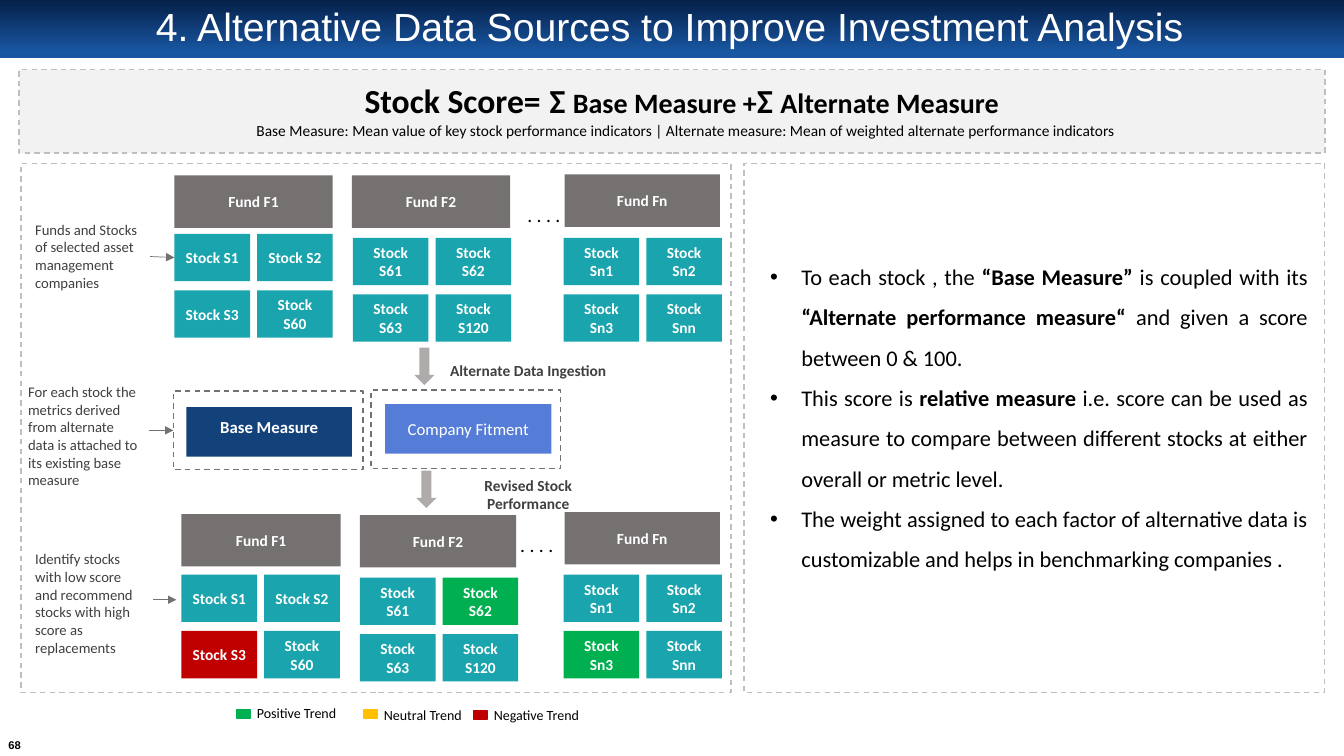
import pptx
import pptx.util
import pptx.dml.color
import pptx.enum.dml
import pptx.enum.shapes
import pptx.enum.text
import pptx.oxml.ns
import lxml.etree

Inches = pptx.util.Inches
Pt = pptx.util.Pt
KIND = pptx.enum.shapes.MSO_SHAPE
ALIGN = pptx.enum.text.PP_ALIGN
ANCHOR = pptx.enum.text.MSO_ANCHOR

HUES = {
    "navy": "052049", "royal": "1957A3", "white": "FFFFFF", "black": "000000",
    "pale": "F2F2F2", "edge": "BFBFBF", "gray": "767171", "teal": "1AA4AD",
    "green": "00B050", "red": "C00000", "amber": "FFC000", "text": "404040",
    "arrow": "AFABAB", "base": "13417A", "fit": "557DD7",
}
TITLE = "4. Alternative Data Sources to Improve Investment Analysis"
SCORE = [("Stock Score=", 24), (" ", 28), ("Σ ", 24), ("Base Measure +", 20),
         ("Σ ", 24), ("Alternate Measure", 20), (" ", 28)]
LEGEND = ("Base Measure: Mean value of key stock performance indicators | "
          "Alternate measure: Mean of weighted alternate performance indicators")
POINTS = [
    [("To each stock , the ", False), ("“Base Measure”", True),
     (" is coupled with its ", False),
     ("“Alternate performance measure“", True),
     (" and given a score between 0 & 100.", False)],
    [("This score is ", False), ("relative measure ", True),
     ("i.e. score can be used as measure to compare between different stocks "
      "at either overall or metric level.", False)],
    [("The weight assigned to each factor of alternative data is customizable "
      "and helps in benchmarking companies .", False)],
]
FUNDS = {"F1": ["S1", "S2", "S3", "S60"],
         "F2": ["S61", "S62", "S63", "S120"],
         "Fn": ["Sn1", "Sn2", "Sn3", "Snn"]}
BEFORE = {"F1": ((1.73, 1.74, 1.57), (1.73, 2.32)),
          "F2": ((3.49, 1.74, 1.57), (3.5, 2.36)),
          "Fn": ((5.6, 1.73, 1.54), (5.59, 2.36))}
AFTER = {"F1": ((1.8, 5.1, 1.58), (1.8, 5.7)),
         "F2": ((3.57, 5.11, 1.55), (3.57, 5.73)),
         "Fn": ((5.6, 5.08, 1.54), (5.59, 5.7))}
TRENDS = {"S3": "red", "S62": "green", "Sn3": "green"}
NOTES = [
    ("Funds and Stocks of selected asset management companies",
     (0.25, 2.14, 1.24, 0.81)),
    ("For each stock the metrics derived from alternate data is attached to "
     "its existing base measure", (0.18, 3.75, 1.31, 1.16)),
    ("Identify stocks with low score and recommend stocks with high score as "
     "replacements", (0.25, 5.41, 1.25, 1.16)),
]
STEPS = [("Alternate Data Ingestion", (4.3, 3.53, 1.88, 0.29)),
         ("Revised Stock Performance", (4.3, 4.67, 1.88, 0.47))]
KEYS = [("Positive Trend", "green", 2.35, 7.04, 6.94),
        ("Neutral Trend", "amber", 3.61, 7.04, 6.96),
        ("Negative Trend", "red", 4.7, 7.05, 6.96)]

deck = pptx.Presentation()
deck.slide_width, deck.slide_height = Inches(13.33), Inches(7.5)
slide = deck.slides.add_slide(deck.slide_layouts[5])
shapes = slide.shapes


def hue(name):
    return pptx.dml.color.RGBColor.from_string(HUES[name])


def style(font, size, color, bold=False, face="Calibri"):
    font.name, font.size, font.bold = face, Pt(size), bold
    font.color.rgb = hue(color)


def label(shape, text, size, color, bold=False, align=ALIGN.CENTER,
          anchor=ANCHOR.MIDDLE, face="Calibri"):
    frame = shape.text_frame
    frame.text = text
    frame.word_wrap = True
    frame.vertical_anchor = anchor
    para = frame.paragraphs[0]
    para.alignment = align
    for run in para.runs:
        style(run.font, size, color, bold, face)
    return frame


def block(place, fill=None, edge=None, dash=True, kind=KIND.RECTANGLE):
    shape = shapes.add_shape(kind, *map(Inches, place))
    shape.shadow.inherit = False
    if fill:
        shape.fill.solid()
        shape.fill.fore_color.rgb = hue(fill)
    else:
        shape.fill.background()
    if edge:
        shape.line.color.rgb = hue(edge)
        shape.line.width = Pt(1)
        if dash:
            shape.line.dash_style = pptx.enum.dml.MSO_LINE.DASH
    else:
        shape.line.fill.background()
    return shape


def box(place):
    shape = shapes.add_textbox(*map(Inches, place))
    shape.text_frame.word_wrap = True
    return shape


def child(node, tag, **attrs):
    return lxml.etree.SubElement(node, pptx.oxml.ns.qn(tag), attrs)


def arrow(left, right, y):
    line = shapes.add_connector(pptx.enum.shapes.MSO_CONNECTOR.STRAIGHT,
                                Inches(left), Inches(y), Inches(right), Inches(y))
    line.line.color.rgb = hue("gray")
    line.line.width = Pt(0.5)
    child(line.line._get_or_add_ln(), "a:tailEnd", type="triangle")
    child(line.element.spPr, "a:effectLst")
    return line


def funds(plan, trends):
    cells = {}
    for fund, (head, grid) in plan.items():
        label(block((*head, 0.52), "gray"), "Fund " + fund, 11, "white", True)
        for i, stock in enumerate(FUNDS[fund]):
            row, col = divmod(i, 2)
            place = (grid[0] + 0.82 * col, grid[1] + 0.56 * row, 0.75, 0.47)
            cell = block(place, trends.get(stock, "teal"))
            frame = label(cell, "Stock " + stock, 11, "white", True)
            frame.margin_left = frame.margin_right = Inches(0.08)
            cells[stock] = cell
    return cells


title = shapes.title
title.left, title.top, title.width, title.height = map(
    Inches, (0.66, 0.06, 11.96, 0.45))
label(title, TITLE, 28, "white", face="Arial")
title.text_frame.paragraphs[0].line_spacing = 0.9
bar = block((0, 0, 13.33, 0.58))
bar.fill.gradient()
bar.fill.gradient_angle = 270
for stop, name, spot in zip(bar.fill.gradient_stops, ("navy", "royal"), (0, 0.9)):
    stop.color.rgb = hue(name)
    stop.position = spot
title.element.addprevious(bar.element)

page = label(box((0.02, 7.3, 0.25, 0.19)), "68", 8, "black", True, face="Arial")
page.margin_left = page.margin_right = page.margin_top = page.margin_bottom = 0

block((0.19, 0.69, 12.95, 0.83), "pale", "edge")
block((0.21, 1.62, 7.04, 5.25), edge="edge")
block((7.38, 1.62, 5.76, 5.25), edge="edge")

score = box((0.85, 0.69, 11.91, 0.76)).text_frame
for text, size in SCORE:
    run = score.paragraphs[0].add_run()
    run.text = text
    style(run.font, size, "black", True)
about = score.add_paragraph()
about.text = LEGEND
style(about.runs[0].font, 11, "black")
for para in score.paragraphs:
    para.alignment = ALIGN.CENTER

body = box((7.54, 2.43, 5.53, 3.29)).text_frame
for i, point in enumerate(POINTS):
    para = body.add_paragraph() if i else body.paragraphs[0]
    props = para._p.get_or_add_pPr()
    props.set("marL", str(Inches(0.31)))
    props.set("indent", str(-Inches(0.31)))
    child(props, "a:buFont", typeface="Arial")
    child(props, "a:buChar", char="•")
    para.alignment = ALIGN.JUSTIFY
    para.line_spacing = 1.5
    for text, bold in point:
        run = para.add_run()
        run.text = text
        style(run.font, 16, "black", bold)

stocks = funds(BEFORE, {})
funds(AFTER, TRENDS)
for left, top in ((5.04, 1.96), (4.97, 5.24)):
    dots = label(box((left, top, 0.64, 0.34)), ". . . .", 14, "black",
                 align=ALIGN.LEFT, anchor=ANCHOR.TOP)
    dots.margin_left, dots.margin_right = Inches(0.19), 0

zone = block((1.72, 3.88, 1.88, 0.78), edge="gray")
block((3.68, 3.87, 1.88, 0.78), edge="gray")
label(block((1.85, 4.04, 1.64, 0.49), "base"), "Base Measure", 12, "white", True,
      anchor=ANCHOR.TOP).margin_top = Inches(0.09)
label(block((3.82, 4.01, 1.65, 0.49), "fit"), "Company Fitment", 12, "white")
for left, top in ((4.11, 3.45), (4.13, 4.67)):
    block((left, top, 0.2, 0.37), "arrow", kind=KIND.DOWN_ARROW)

for text, place in STEPS:
    label(box(place), text, 11, "text", True, anchor=ANCHOR.TOP)
notes = [box(place) for text, place in NOTES]
for note, (text, place) in zip(notes, NOTES):
    label(note, text, 10.5, "text", align=ALIGN.LEFT, anchor=ANCHOR.TOP)

first = arrow(1.48, 1.72, 2.55)
first.begin_connect(notes[0], 3)
first.end_connect(stocks["S1"], 1)
arrow(1.48, 1.72, 4.27).end_connect(zone, 1)
arrow(1.52, 1.75, 5.95)

for text, color, left, top, high in KEYS:
    block((left, top, 0.13, 0.09), color, color, dash=False)
    label(box((left + 0.1, high, 1.25, 0.27)), text, 10, "black",
          align=ALIGN.LEFT, anchor=ANCHOR.TOP)

deck.save("out.pptx")
